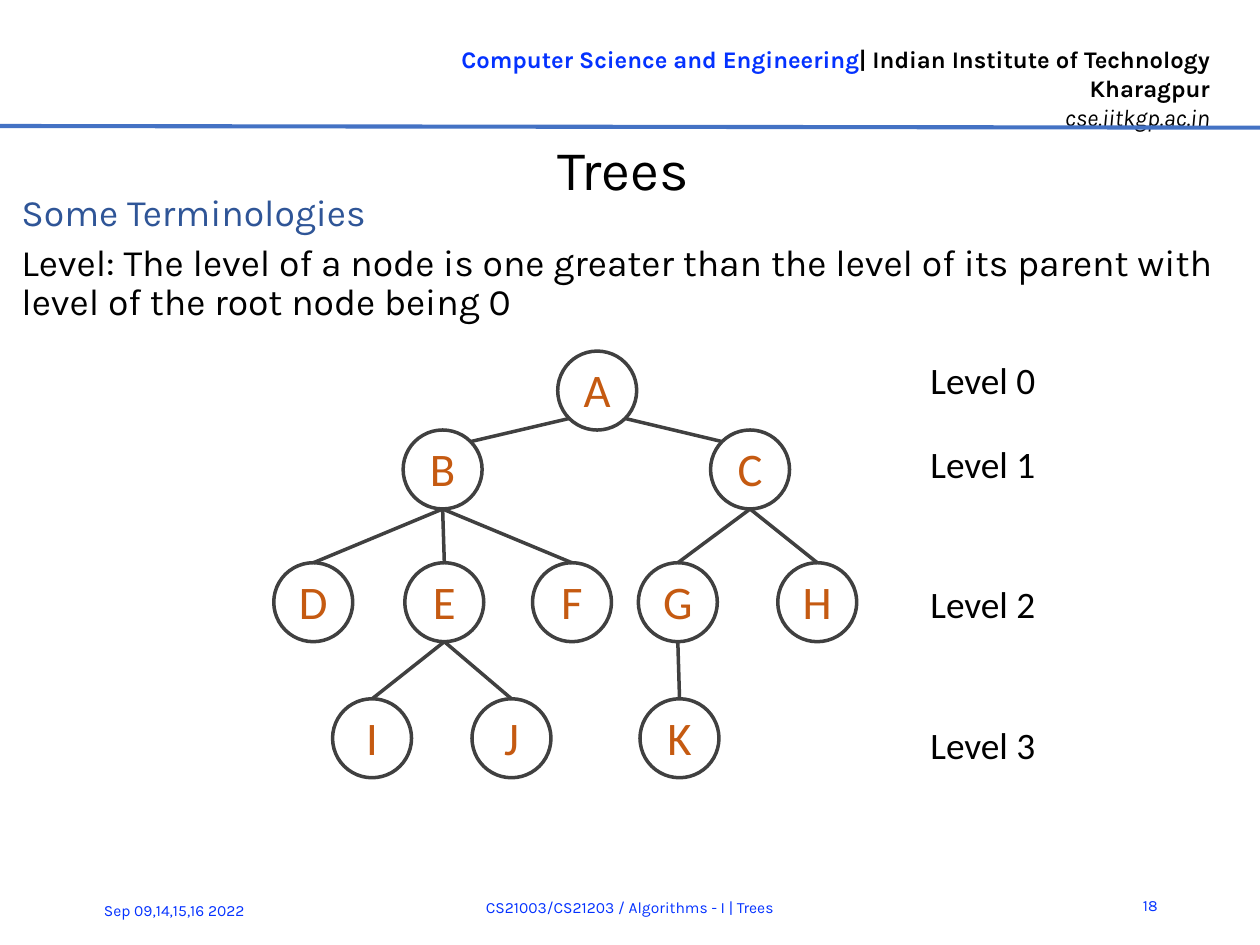
import math

import pptx
import pptx.util
import pptx.dml.color
import pptx.enum.shapes
import pptx.enum.text
from lxml import etree
from pptx.util import Inches

BLUE, BLACK, GREY, ORANGE = "0432FF", "000000", "404040", "C55A11"
LEFT, CENTER, RIGHT = (getattr(pptx.enum.text.PP_ALIGN, name) for name in ("LEFT", "CENTER", "RIGHT"))
TOP, MIDDLE = pptx.enum.text.MSO_ANCHOR.TOP, pptx.enum.text.MSO_ANCHOR.MIDDLE

PAGE_WIDTH = 7.5
PAGE_HEIGHT = PAGE_WIDTH * 3 / 4
HEADER_SIZE = 10.2
DIAMETER = 0.47
ROW_TOPS = [2.09, 2.56, 3.35, 4.16]
# Node: (level, left edge, parent)
NODES = {
    "A": (0, 3.32, None),
    "B": (1, 2.4, "A"), "C": (1, 4.23, "A"),
    "D": (2, 1.63, "B"), "E": (2, 2.41, "B"), "F": (2, 3.17, "B"),
    "G": (2, 3.8, "C"), "H": (2, 4.63, "C"),
    "I": (3, 1.98, "E"), "J": (3, 2.81, "E"), "K": (3, 3.81, "G"),
}
LEVEL_LABEL_TOPS = [2.08, 2.58, 3.41, 4.25]


def rgb(color):
    return pptx.dml.color.RGBColor.from_string(color)


def format_span(span, size, color, face="Karla", bold=False, italic=False):
    font = span.font
    font.name, font.size = face, pptx.util.Pt(size)
    font.bold, font.italic = bold, italic
    font.color.rgb = rgb(color)


def add_text(page, at, text, size, color, face="Karla", align=LEFT, anchor=TOP, wrap=True):
    """Add a text box whose lines become paragraphs of one format."""
    box = page.shapes.add_textbox(*map(Inches, at))
    frame = box.text_frame
    frame.text = text
    frame.word_wrap, frame.vertical_anchor = wrap, anchor
    for para in frame.paragraphs:
        para.alignment = align
        for span in para.runs:
            format_span(span, size, color, face)
    return frame


def add_line(page, start, end, color, width):
    line = page.shapes.add_connector(
        pptx.enum.shapes.MSO_CONNECTOR.STRAIGHT, *map(Inches, (*start, *end)))
    line.line.color.rgb = rgb(color)
    line.line.width = pptx.util.Pt(width)
    etree.SubElement(line._element.spPr, pptx.oxml.ns.qn("a:effectLst"))


def add_header(page):
    frame = add_text(page, (2.1, 0.22, 5.2, 0.44), "Computer Science and Engineering\ncse.iitkgp.ac.in",
                     HEADER_SIZE, BLACK, align=RIGHT)
    department, address = frame.paragraphs
    format_span(department.runs[0], HEADER_SIZE, BLUE, bold=True)
    institute = department.add_run()
    institute.text = "| Indian Institute of Technology Kharagpur"
    format_span(institute, HEADER_SIZE, BLACK, bold=True)
    address.runs[0].font.italic = True
    add_line(page, (0, 0.75), (PAGE_WIDTH, 0.76), "4472C4", 1.75)


def set_title(page, text):
    title = page.shapes.title
    title.left, title.top, title.width, title.height = map(Inches, (0.24, 0.79, 6.94, 0.41))
    frame = title.text_frame
    frame.text = text
    frame.vertical_anchor = MIDDLE
    frame.margin_left = frame.margin_right = frame.margin_bottom = 0
    frame.margin_top = Inches(0.01)
    frame.paragraphs[0].alignment = CENTER
    format_span(frame.paragraphs[0].runs[0], 24, BLACK)


def add_definition(page):
    frame = add_text(
        page, (0.03, 1.11, 7.37, 0.81),
        "Some Terminologies\nLevel: The level of a node is one greater than the level of its parent "
        "with level of the root node being 0", 16, BLACK)
    heading, definition = frame.paragraphs
    heading.runs[0].font.color.rgb = rgb("2F5597")
    for para in frame.paragraphs:
        para.line_spacing = pptx.util.Pt(17)
        para.space_after = pptx.util.Pt(2)
    definition.space_before = pptx.util.Pt(2)


def rim_point(name, angle):
    """Point on a node's circle; the angle runs clockwise from the right."""
    level, left, _ = NODES[name]
    radius, turn = DIAMETER / 2, math.radians(angle)
    return (left + radius * (1 + math.cos(turn)), ROW_TOPS[level] + radius * (1 + math.sin(turn)))


def add_edge(page, parent, child):
    start, end = 90, 270
    if NODES[parent][0] == 0:
        start, end = (135, 315) if NODES[child][1] < NODES[parent][1] else (45, 225)
    add_line(page, rim_point(parent, start), rim_point(child, end), GREY, 1.5)


def add_node(page, name):
    level, left, _ = NODES[name]
    node = page.shapes.add_shape(
        pptx.enum.shapes.MSO_SHAPE.OVAL,
        *map(Inches, (left, ROW_TOPS[level], DIAMETER, DIAMETER)))
    node.shadow.inherit = False
    node.fill.background()
    node.line.color.rgb = rgb(GREY)
    node.line.width = pptx.util.Pt(1.5)
    frame = node.text_frame
    frame.text = name
    frame.word_wrap, frame.vertical_anchor = False, MIDDLE
    frame.margin_left = frame.margin_right = frame.margin_top = 0
    frame.margin_bottom = Inches(0.02)
    frame.paragraphs[0].alignment = CENTER
    format_span(frame.paragraphs[0].runs[0], 20, ORANGE, "Calibri")


def add_tree(page):
    for name, (_, _, parent) in NODES.items():
        add_node(page, name)
        if parent:
            add_edge(page, parent, name)
    for level, top in enumerate(LEVEL_LABEL_TOPS):
        add_text(page, (5.44, top, 0.84, 0.41), f"Level {level}", 16, BLACK, "Calibri", wrap=False)


def add_footer(page):
    for at, text, align in [
        ((0.52, 5.27, 1.31, 0.3), "Sep 09,14,15,16 2022", LEFT),
        ((1.24, 5.25, 5.02, 0.3), "CS21003/CS21203 / Algorithms - I | Trees", CENTER),
        ((6.62, 5.24, 0.37, 0.3), "18", RIGHT),
    ]:
        add_text(page, at, text, 6.7, BLUE, align=align, anchor=MIDDLE)


def main():
    deck = pptx.Presentation()
    deck.slide_width, deck.slide_height = Inches(PAGE_WIDTH), Inches(PAGE_HEIGHT)
    page = deck.slides.add_slide(deck.slide_layouts.get_by_name("Title Only"))
    add_header(page)
    set_title(page, "Trees")
    add_definition(page)
    add_tree(page)
    add_footer(page)
    deck.save("out.pptx")


if __name__ == "__main__":
    main()
